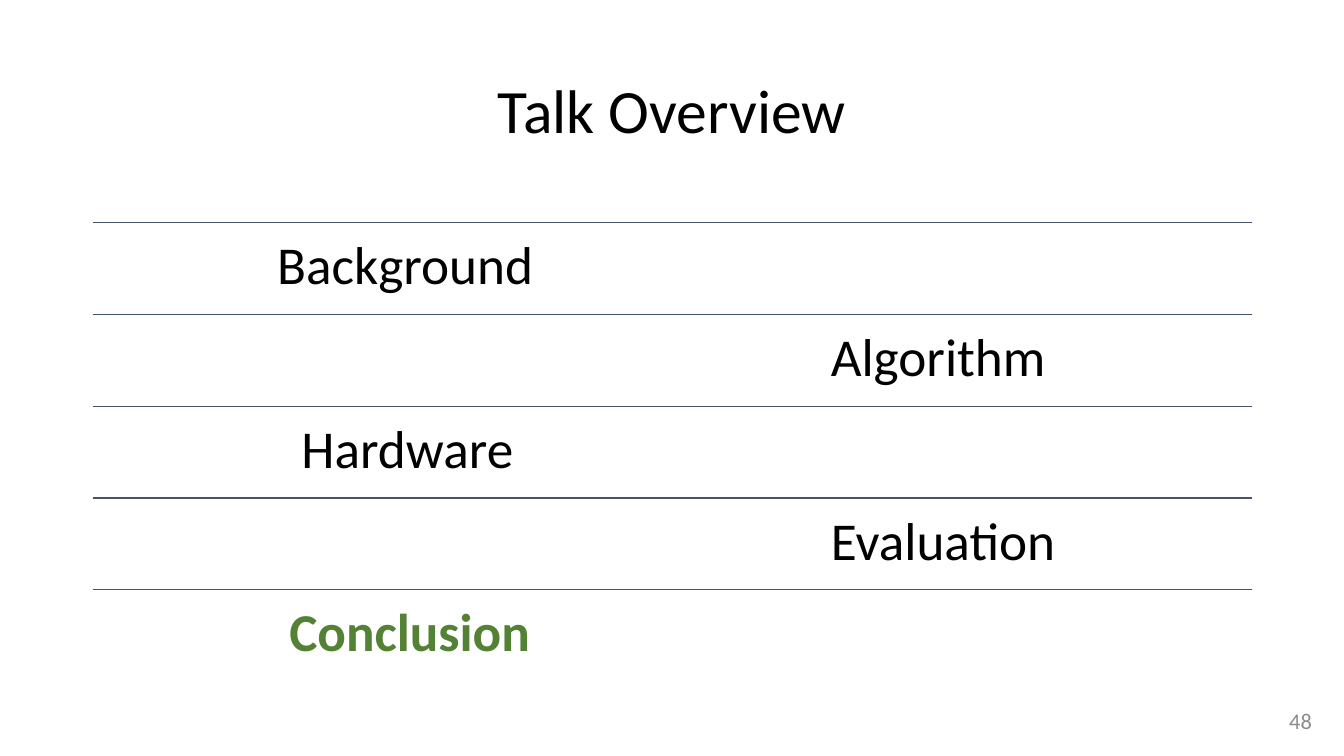
from lxml.etree import SubElement
from pptx import Presentation
from pptx.dml.color import RGBColor
from pptx.enum.shapes import MSO_CONNECTOR
from pptx.enum.text import MSO_ANCHOR, PP_ALIGN
from pptx.oxml.ns import qn
from pptx.util import Inches, Pt

LEFT, TOP, WIDTH, ROW_HEIGHT = 0.92, 2.21, 11.5, 0.91
PADDING = Inches(0.16)


def rgb(color):
    return RGBColor.from_string(color)


def style(paragraph, size, color, bold=False):
    font = paragraph.font
    font.name = "Calibri"
    font.size = Pt(size)
    font.bold = bold
    font.color.rgb = rgb(color)


prs = Presentation()
prs.slide_width, prs.slide_height = Inches(13.33), Inches(7.5)
slide = prs.slides.add_slide(prs.slide_layouts[5])

title = slide.shapes.title
title.left, title.top = Inches(0.91), Inches(0.4)
title.width, title.height = Inches(11.51), Inches(1.45)
title.text_frame.text = "Talk Overview"
title.text_frame.vertical_anchor = MSO_ANCHOR.MIDDLE
heading = title.text_frame.paragraphs[0]
heading.alignment = PP_ALIGN.CENTER
heading.line_spacing = 0.9
style(heading, 44, "000000")

# Section name, left inset of its text, whether it is the current section
sections = [
    ("Background", 1.83, False),
    ("Algorithm", 7.32, False),
    ("Hardware", 2.07, False),
    ("Evaluation", 7.32, False),
    ("Conclusion", 1.95, True),
]
for row, (name, inset, current) in enumerate(sections):
    top = Inches(TOP + row * ROW_HEIGHT)
    rule = slide.shapes.add_connector(
        MSO_CONNECTOR.STRAIGHT, Inches(LEFT), top, Inches(LEFT + WIDTH), top)
    rule.line.color.rgb = rgb("44546A")
    rule.line.width = Pt(1)
    SubElement(rule._element.spPr, qn("a:effectLst"))

    section = slide.shapes.add_textbox(
        Inches(LEFT), top, Inches(WIDTH), Inches(ROW_HEIGHT)).text_frame
    section.word_wrap = True
    section.margin_left = Inches(inset)
    section.margin_top = section.margin_right = section.margin_bottom = PADDING
    section.text = name
    label = section.paragraphs[0]
    label.line_spacing = 0.9
    style(label, 38, "548235" if current else "000000", current)

page = slide.shapes.add_textbox(
    Inches(10.11), Inches(6.95), Inches(3), Inches(0.4)).text_frame
page.word_wrap = True
page.vertical_anchor = MSO_ANCHOR.MIDDLE
page.text = "48"
page_number = page.paragraphs[0]
page_number.alignment = PP_ALIGN.RIGHT
style(page_number, 16, "8C8C8C")

prs.save("out.pptx")
